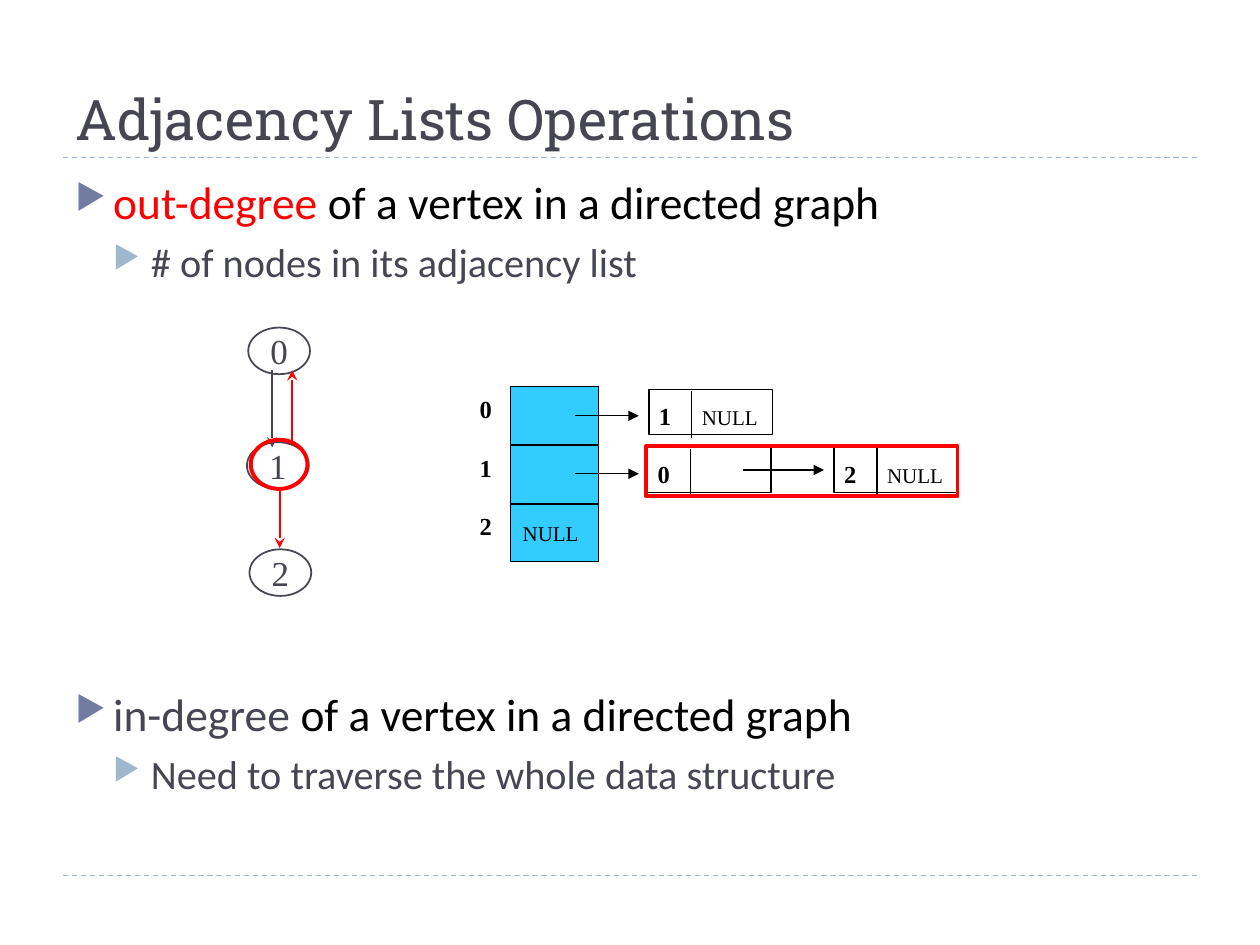
from dataclasses import dataclass

from lxml import etree
from pptx import Presentation
from pptx import util as u
from pptx.dml.color import RGBColor
from pptx.enum import dml, shapes, text
from pptx.oxml.ns import qn

COLORS = {"ink": "464653", "black": "000000", "red": "FF0000", "white": "FFFFFF",
          "cyan": "33CCFF", "rule": "9FB8CD", "main": "727CA3", "sub": "9FB8CD"}
SERIF = "Times New Roman"
ROW = 0.465  # pitch of the vertex array
OVAL, RECT = shapes.MSO_SHAPE.OVAL, shapes.MSO_SHAPE.RECTANGLE
MID, LOW = text.MSO_ANCHOR.MIDDLE, text.MSO_ANCHOR.BOTTOM
CENTER = text.PP_ALIGN.CENTER


@dataclass
class Run:
    text: str
    size: float
    color: str = "black"
    font: str = SERIF
    bold: bool = False


@dataclass
class Point:
    """One bullet line of the body."""
    level: int
    space: float
    runs: list[Run]


@dataclass
class Node:
    """One list node: box corner, divider top, key and next value."""
    left: float
    top: float
    split: float
    key: str
    link: str = ""


@dataclass
class Arrow:
    start: tuple[float, float]
    end: tuple[float, float]
    color: str
    head: str
    width: float


POINTS = [
    Point(0, 0, [Run("out-degree ", 26, "red", "Calibri"),
                 Run("of a vertex in a directed graph", 26, "black", "Calibri")]),
    Point(1, 5, [Run("# of nodes in its adjacency list", 23, "ink", "Calibri")]),
    Point(0, 229, [Run("in-degree ", 26, "ink", "Calibri"),
                   Run("of a vertex in a directed graph", 26, "black", "Calibri")]),
    Point(1, 5, [Run("Need to traverse the whole data structure", 23, "ink", "Calibri")]),
]
VERTICES = [("0", 1.97, 2.6), ("1", 1.96, 3.51), ("2", 1.98, 4.36)]
EDGES = [
    Arrow((2.22, 3.89), (2.22, 4.35), "red", "stealth", 1),
    Arrow((2.32, 3.53), (2.32, 2.94), "red", "stealth", 1),
    Arrow((2.16, 2.94), (2.16, 3.55), "ink", "stealth", 1),
]
NODES = [Node(5.15, 3.09, 3.1, "1", "NULL"), Node(5.14, 3.55, 3.56, "0"),
         Node(6.62, 3.55, 3.54, "2", "NULL")]
LINKS = [Arrow((x, y), (end, y), "black", "triangle", 0.75)
         for x, end, y in [(4.56, 5.07, 3.3), (4.56, 5.07, 3.76), (5.9, 6.54, 3.73)]]


def rgb(name: str) -> RGBColor:
    return RGBColor.from_string(COLORS[name])


def apply(target, values: dict) -> None:
    for name, value in values.items():
        setattr(target, name, value)


def set_frame(shape, inset=(0, 0, 0, 0), anchor=MID):
    left, top, right, low = map(u.Inches, inset)
    apply(shape.text_frame, {
        "word_wrap": True, "vertical_anchor": anchor, "margin_left": left,
        "margin_top": top, "margin_right": right, "margin_bottom": low})
    return shape.text_frame


def write(para, runs: list[Run], align=None) -> None:
    para.alignment = align
    for item in runs:
        run = para.add_run()
        run.text = item.text
        apply(run.font, {"size": u.Pt(item.size), "name": item.font, "bold": item.bold})
        run.font.color.rgb = rgb(item.color)


def add_text(slide, box, inset, anchor):
    return set_frame(slide.shapes.add_textbox(*map(u.Inches, box)), inset, anchor)


def add_shape(slide, kind, box, line: str, width: float, fill: str = ""):
    shape = slide.shapes.add_shape(kind, *map(u.Inches, box))
    shape.shadow.inherit = False
    if fill:
        shape.fill.solid()
        shape.fill.fore_color.rgb = rgb(fill)
    else:
        shape.fill.background()
    shape.line.color.rgb = rgb(line)
    shape.line.width = u.Pt(width)
    return shape


def add_line(slide, start, end, color: str, width: float, head: str = "", dash=None) -> None:
    line = slide.shapes.add_connector(
        shapes.MSO_CONNECTOR.STRAIGHT, *map(u.Inches, (*start, *end)))
    line.line.color.rgb = rgb(color)
    line.line.width = u.Pt(width)
    if dash:
        line.line.dash_style = dash
    props = line.element.spPr
    if head:
        etree.SubElement(props.find(qn("a:ln")), qn("a:tailEnd"), type=head)
    etree.SubElement(props, qn("a:effectLst"))


def add_bullet(para, level: int) -> None:
    props = para._p.get_or_add_pPr()
    props.set("marL", str(u.Inches(0.3 * (level + 1))))
    props.set("indent", str(u.Inches(-0.3)))
    tint = etree.SubElement(props, qn("a:buClr"))
    etree.SubElement(tint, qn("a:srgbClr"), val=COLORS["sub" if level else "main"])
    etree.SubElement(props, qn("a:buSzPct"), val="76000")
    etree.SubElement(props, qn("a:buChar"), char="▶")


def add_body(slide) -> None:
    frame = add_text(slide, (0.5, 1.33, 9, 5.4), (0.1, 0.05, 0.1, 0.05), text.MSO_ANCHOR.TOP)
    for i, point in enumerate(POINTS):
        para = frame.add_paragraph() if i else frame.paragraphs[0]
        add_bullet(para, point.level)
        apply(para, {"level": point.level, "space_before": u.Pt(point.space)})
        write(para, point.runs)


def add_arrows(slide, arrows: list[Arrow]) -> None:
    for arrow in arrows:
        add_line(slide, arrow.start, arrow.end, arrow.color, arrow.width, arrow.head)


def add_graph(slide) -> None:
    for name, left, top in VERTICES:
        oval = add_shape(slide, OVAL, (left, top, 0.49, 0.37), "ink", 1, "white")
        write(set_frame(oval).paragraphs[0], [Run(name, 20, "ink")], CENTER)
    add_arrows(slide, EDGES)


def add_array(slide) -> None:
    for i, value in enumerate(["", "", "NULL"]):
        cell = add_shape(slide, RECT, (4.05, 3.07 + i * ROW, 0.7, 0.46), "black", 0.75, "cyan")
        if value:
            frame = set_frame(cell, (0.1, 0, 0, 0))
            write(frame.paragraphs[0], [Run(value, 12)], text.PP_ALIGN.LEFT)
        label = add_text(slide, (3.72, 3.08 + i * ROW, 0.27, 0.33), (0, 0, 0, 0), MID)
        write(label.paragraphs[0], [Run(str(i), 14, bold=True)], CENTER)


def add_node(slide, node: Node) -> None:
    box = add_shape(slide, RECT, (node.left, node.top, 0.98, 0.36), "black", 0.75)
    para = set_frame(box, (0.08, 0, 0, 0.03), LOW).paragraphs[0]
    runs = [Run(node.key, 14, bold=True)]
    if node.link:
        tabs = etree.SubElement(para._p.get_or_add_pPr(), qn("a:tabLst"))
        etree.SubElement(tabs, qn("a:tab"), pos=str(u.Inches(0.34)), algn="l")
        runs.append(Run("\t" + node.link, 12))
    write(para, runs, text.PP_ALIGN.LEFT)
    split = node.left + 0.34
    add_line(slide, (split, node.split), (split, node.split + 0.38), "black", 0.75)


def main() -> None:
    deck = Presentation()
    apply(deck, {"slide_width": u.Inches(10), "slide_height": u.Inches(7.5)})
    slide = deck.slides.add_slide(deck.slide_layouts[6])
    for y in (6.95, 1.25):
        add_line(slide, (0.5, y), (9.5, y), "rule", 0.75, dash=dml.MSO_LINE.DASH)
    title = add_text(slide, (0.5, 0.17, 9, 1.08), (0.1, 0.05, 0.1, 0.05), LOW)
    write(title.paragraphs[0], [Run("Adjacency Lists Operations", 32, "ink", "Roboto Slab")])
    add_body(slide)
    add_graph(slide)
    add_array(slide)
    for node in NODES:
        add_node(slide, node)
    add_arrows(slide, LINKS)
    add_shape(slide, RECT, (5.13, 3.54, 2.47, 0.4), "red", 2.25)
    add_shape(slide, OVAL, (1.99, 3.49, 0.45, 0.39), "red", 2.25)
    deck.save("out.pptx")


if __name__ == "__main__":
    main()
